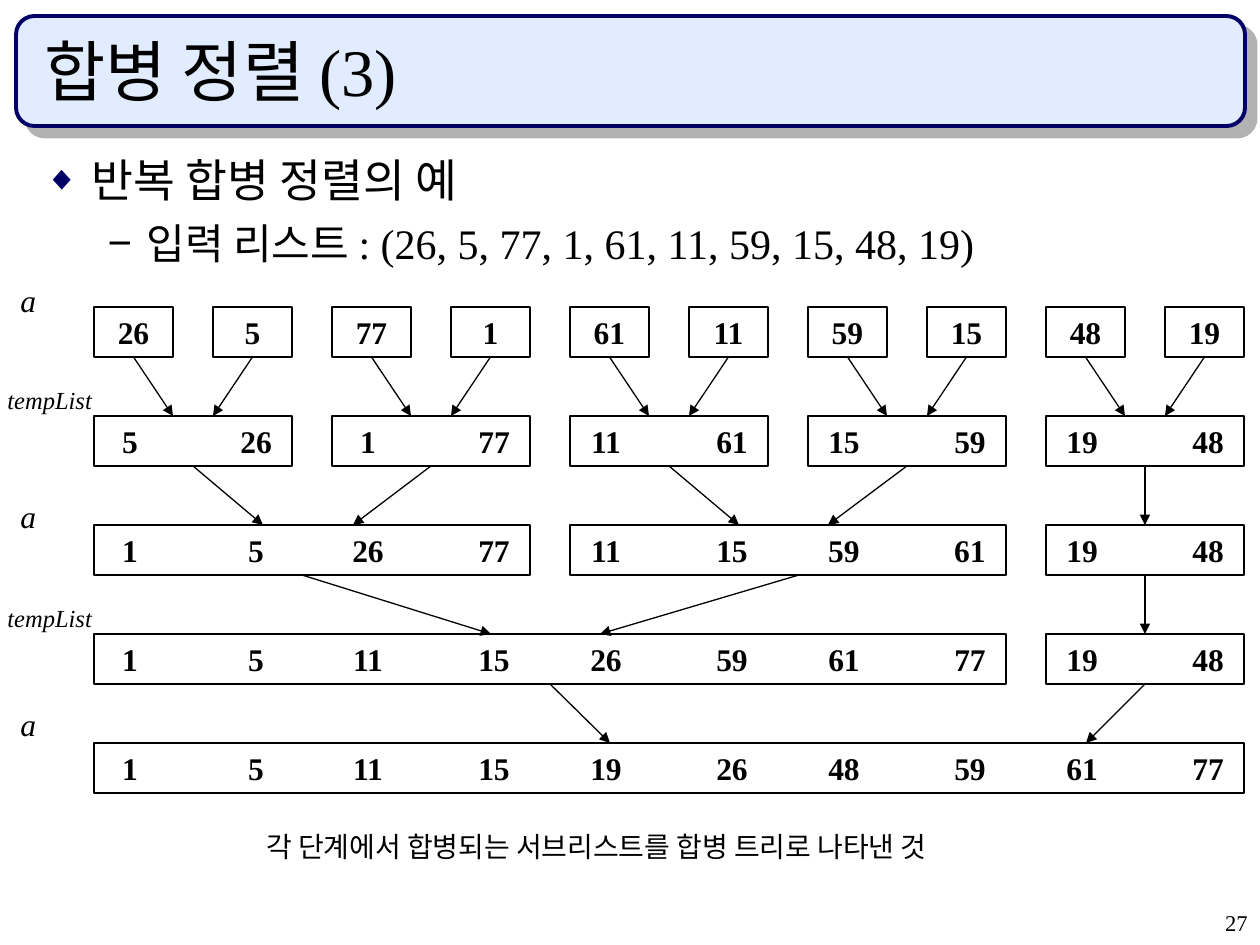
from lxml import etree
from pptx import Presentation
from pptx.dml.color import RGBColor
from pptx.enum.shapes import MSO_CONNECTOR, MSO_SHAPE
from pptx.enum.text import MSO_ANCHOR, MSO_AUTO_SIZE, PP_ALIGN
from pptx.oxml import parse_xml
from pptx.oxml.ns import nsdecls, qn
from pptx.util import Emu, Pt

LEFT, RIGHT, CENTER = PP_ALIGN.LEFT, PP_ALIGN.RIGHT, PP_ALIGN.CENTER
TOP, MIDDLE, BOTTOM = MSO_ANCHOR.TOP, MSO_ANCHOR.MIDDLE, MSO_ANCHOR.BOTTOM
FONT = "Times New Roman"
BLACK = RGBColor(0, 0, 0)
NAVY = RGBColor(0x00, 0x00, 0x66)
PALE = RGBColor(0xE1, 0xEC, 0xFF)
SHADOW = RGBColor(0xB2, 0xB2, 0xB2)

# Content
TITLE = "합병 정렬 (3)"
BULLETS = [  # text, size, level, left margin, hang, space before, bullet, colour, bullet %
    ("반복 합병 정렬의 예", 26, 0, 47, 47, 0, "◆", NAVY, 75),
    ("입력 리스트 : (26, 5, 77, 1, 61, 11, 59, 15, 48, 19)",
     24, 1, 102, 39, 6, "−", BLACK, 100),
]
PASSES = [
    [[26], [5], [77], [1], [61], [11], [59], [15], [48], [19]],
    [[5, 26], [1, 77], [11, 61], [15, 59], [19, 48]],
    [[1, 5, 26, 77], [11, 15, 59, 61], [19, 48]],
    [[1, 5, 11, 15, 26, 59, 61, 77], [19, 48]],
    [[1, 5, 11, 15, 19, 26, 48, 59, 61, 77]],
]
MERGES = [  # pass, list, start x (None: middle of the list), end x
    (1, 0, None, 263), (1, 1, None, 353), (1, 2, None, 739), (1, 3, None, 828),
    (2, 0, 302, 491), (2, 1, 799, 600), (3, 0, None, 610), (3, 1, None, 1086),
]
CARRIED = [(1, 4, 2), (2, 2, 1)]  # pass, list, same list in the next pass
LABELS = [("a", 18, 8, 275), ("tempList", 14, -5, 379), ("a", 18, 8, 491),
          ("tempList", 14, -5, 597), ("a", 18, 8, 699)]
CAPTION = "각 단계에서 합병되는 서브리스트를 합병 트리로 나타낸 것"

# Grid of the merge tree, in px
X0, PITCH, CELL = 94, 119, 79
Y0, ROW, BOX_H = 307, 109, 50
ODD, EVEN = 36, 162  # number centres within each pair of columns


def px(n):
    return Emu(round(n * 914400 / 126))


def place(sp, x, y, w, h):
    sp.left, sp.top, sp.width, sp.height = px(x), px(y), px(w), px(h)


def add_run(p, text, size, bold=False, italic=False):
    r = p.add_run()
    r.text = text
    f = r.font
    f.name, f.size, f.bold, f.italic = FONT, Pt(size), bold, italic
    f.color.rgb = BLACK


def add_text(x, y, w, h, text, size, align=LEFT, italic=False):
    tf = slide.shapes.add_textbox(px(x), px(y), px(w), px(h)).text_frame
    tf.word_wrap = True
    tf.paragraphs[0].alignment = align
    add_run(tf.paragraphs[0], text, size, italic=italic)


def add_list(row, col, numbers):
    n = len(numbers)
    sp = slide.shapes.add_shape(
        MSO_SHAPE.RECTANGLE, px(X0 + col * PITCH), px(Y0 + row * ROW),
        px((n - 1) * PITCH + CELL), px(BOX_H))
    sp.shadow.inherit = False
    sp.fill.background()
    sp.line.color.rgb, sp.line.width = BLACK, Pt(0.75)
    tf = sp.text_frame
    tf.word_wrap, tf.vertical_anchor = True, MIDDLE
    tf.margin_left = tf.margin_right = 0
    p = tf.paragraphs[0]
    if n == 1:
        p.alignment = CENTER
        add_run(p, str(numbers[0]), 18, bold=True)
        return sp
    # Centred tab stops keep the numbers in columns
    p.alignment = LEFT
    tabs = etree.SubElement(p._p.get_or_add_pPr(), qn("a:tabLst"))
    for i in range(n):
        stop = i // 2 * 2 * PITCH + (EVEN if i % 2 else ODD)
        etree.SubElement(tabs, qn("a:tab"), pos=str(px(stop)), algn="ctr")
    add_run(p, "".join(f"\t{v}" for v in numbers), 18, bold=True)
    return sp


def add_arrow(row, start, x1, x2, target=None):
    y = Y0 + row * ROW + BOX_H
    c = slide.shapes.add_connector(
        MSO_CONNECTOR.STRAIGHT, px(x1 or 0), px(y), px(x2), px(y + ROW - BOX_H))
    if x1 is None:
        c.begin_connect(start, 2)
    if target is not None:
        c.end_connect(target, 0)
    c.line.color.rgb, c.line.width = BLACK, Pt(0.75)
    etree.SubElement(c.line._get_or_add_ln(), qn("a:tailEnd"), type="triangle")
    etree.SubElement(c._element.spPr, qn("a:effectLst"))


prs = Presentation()
prs.slide_width, prs.slide_height = px(1260), px(945)
slide = prs.slides.add_slide(prs.slide_layouts[1])

# Title panel, behind the title
panel = slide.shapes.add_shape(
    MSO_SHAPE.ROUNDED_RECTANGLE, px(16), px(16), px(1229), px(110))
panel.fill.solid()
panel.fill.fore_color.rgb = PALE
panel.line.color.rgb, panel.line.width = NAVY, Pt(2.25)
panel._element.spPr.append(parse_xml(
    f'<a:effectLst {nsdecls("a")}><a:outerShdw dist="{Pt(8.5)}" dir="2700000" '
    f'algn="ctr" rotWithShape="0"><a:srgbClr val="{SHADOW}"/></a:outerShdw></a:effectLst>'))
slide.shapes._spTree.insert(2, panel._element)

# Title
title = slide.shapes.title
place(title, 32, 32, 1187, 84)
tf = title.text_frame
tf.auto_size, tf.vertical_anchor = MSO_AUTO_SIZE.NONE, BOTTOM
tf.paragraphs[0].alignment = LEFT
add_run(tf.paragraphs[0], TITLE, 38)

# Bullets
body = slide.placeholders[1]
place(body, 32, 146, 1187, 147)
tf = body.text_frame
tf.auto_size, tf.vertical_anchor = MSO_AUTO_SIZE.NONE, TOP
for i, (text, size, level, margin, hang, before, char, colour, pct) in enumerate(BULLETS):
    p = tf.add_paragraph() if i else tf.paragraphs[0]
    p.level, p.space_before = level, Pt(before)
    pPr = p._p.get_or_add_pPr()
    pPr.set("marL", str(px(margin)))
    pPr.set("indent", str(px(-hang)))
    etree.SubElement(etree.SubElement(pPr, qn("a:buClr")), qn("a:srgbClr"), val=str(colour))
    etree.SubElement(pPr, qn("a:buSzPct"), val=str(pct * 1000))
    etree.SubElement(pPr, qn("a:buChar"), char=char)
    add_run(p, text, size)

# Lists of each pass
boxes = []
for row, lists in enumerate(PASSES):
    col, line = 0, []
    for numbers in lists:
        line.append(add_list(row, col, numbers))
        col += len(numbers)
    boxes.append(line)

# Arrows: first pass to the facing edges, then the wider merges
for i, box in enumerate(boxes[0]):
    add_arrow(0, box, None, X0 + i * PITCH + (0 if i % 2 else CELL))
for row, i, x1, x2 in MERGES:
    add_arrow(row, boxes[row][i], x1, x2)
for row, i, j in CARRIED:
    add_arrow(row, boxes[row][i], None, 0, boxes[row + 1][j])

# Labels, caption and page number
for text, size, x, y in LABELS:
    add_text(x, y, 129, 50, text, size, italic=True)
add_text(254, 823, 791, 47, CAPTION, 16)
add_text(998, 903, 262, 42, "27", 12.9, RIGHT)

prs.save("out.pptx")
